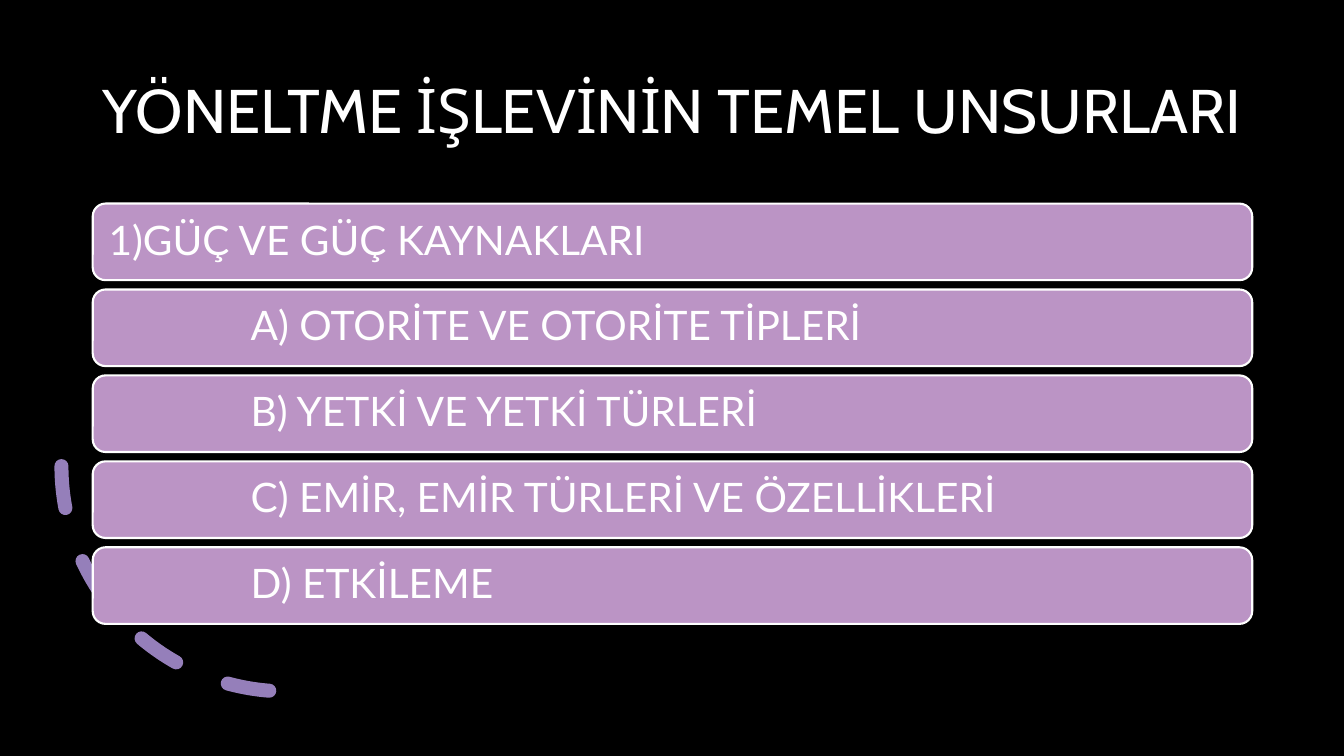
from lxml import etree
from pptx import Presentation
from pptx.dml.color import RGBColor
from pptx.enum import dml, shapes, text
from pptx.oxml.ns import qn
from pptx.util import Inches, Pt

TITLE = "YÖNELTME İŞLEVİNİN TEMEL UNSURLARI"
TOPICS = [
    "1)GÜÇ VE GÜÇ KAYNAKLARI",
    "\tA) OTORİTE VE OTORİTE TİPLERİ",
    "\tB) YETKİ VE YETKİ TÜRLERİ",
    "\tC) EMİR, EMİR TÜRLERİ VE ÖZELLİKLERİ",
    "\tD) ETKİLEME",
]
THEME = {
    "background": RGBColor.from_string("000000"),
    "text": RGBColor.from_string("FFFFFF"),
    "bar": RGBColor.from_string("BB94C5"),
    "arc": RGBColor.from_string("957FBA"),
    "title_font": "Cabin", "title_size": Pt(44),
    "topic_font": "Lato", "topic_size": Pt(29),
}
LEFT, WIDTH = 0.92, 11.5
BAR_TOP, LAST_BAR_TOP, BAR_HEIGHT = 2.02, 5.43, 0.76
TAB_STOP = 1.41


def write_text(sp, content, font, size, inset=None, tab=None):
    tf = sp.text_frame
    tf.word_wrap = True
    tf.vertical_anchor = text.MSO_ANCHOR.MIDDLE
    if inset is not None:
        tf.margin_left = tf.margin_right = Inches(inset)
        tf.margin_top = tf.margin_bottom = Inches(inset)
    p = tf.paragraphs[0]
    if tab is not None:
        tabs = etree.SubElement(p._p.get_or_add_pPr(), qn("a:tabLst"))
        etree.SubElement(tabs, qn("a:tab"), pos=str(Inches(tab)), algn="l")
    p.alignment = text.PP_ALIGN.LEFT
    p.line_spacing = 0.9
    r = p.add_run()
    r.text = content
    r.font.name, r.font.size = font, size
    r.font.color.rgb = THEME["text"]


def add_dashed_arc(slide):
    sp = slide.shapes.add_shape(shapes.MSO_SHAPE.ARC, Inches(0.61), Inches(2.39),
                                Inches(4.47), Inches(4.47))
    sp.shadow.inherit = False
    sp.fill.background()
    sp.rotation = 90
    sp._element.spPr.find(qn("a:xfrm")).set("flipV", "1")
    sp.line.color.rgb = THEME["arc"]
    sp.line.width = Pt(10)
    sp.line.dash_style = dml.MSO_LINE.DASH
    sp._element.spPr.find(qn("a:ln")).set("cap", "rnd")


def add_topic_bar(slide, topic, top):
    sp = slide.shapes.add_shape(shapes.MSO_SHAPE.ROUNDED_RECTANGLE, Inches(LEFT),
                                Inches(top), Inches(WIDTH), Inches(BAR_HEIGHT))
    sp.shadow.inherit = False
    sp.fill.solid()
    sp.fill.fore_color.rgb = THEME["bar"]
    sp.line.color.rgb = THEME["text"]
    sp.line.width = Pt(1.5)
    write_text(sp, topic, THEME["topic_font"], THEME["topic_size"],
               inset=0.12, tab=TAB_STOP)


def main():
    prs = Presentation()
    prs.slide_width, prs.slide_height = Inches(13.33), Inches(7.5)
    slide = prs.slides.add_slide(prs.slide_layouts[6])
    slide.background.fill.solid()
    slide.background.fill.fore_color.rgb = THEME["background"]

    title = slide.shapes.add_textbox(Inches(LEFT), Inches(0.4), Inches(WIDTH), Inches(1.45))
    write_text(title, TITLE, THEME["title_font"], THEME["title_size"])
    add_dashed_arc(slide)
    pitch = (LAST_BAR_TOP - BAR_TOP) / (len(TOPICS) - 1)
    for i, topic in enumerate(TOPICS):
        add_topic_bar(slide, topic, BAR_TOP + i * pitch)
    prs.save("out.pptx")


if __name__ == "__main__":
    main()
